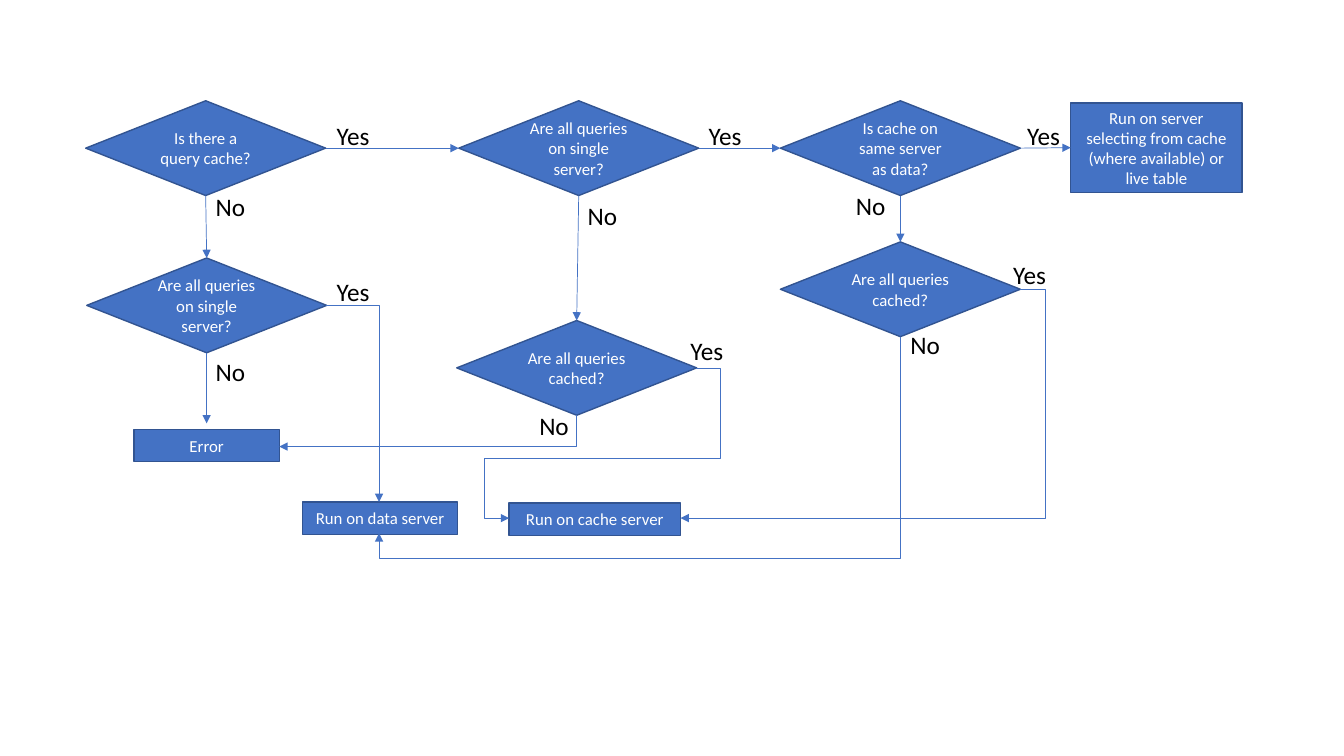
"""Build a flowchart slide that decides where a set of queries should run."""
from lxml import etree
from pptx import Presentation
from pptx import util as u
from pptx.dml import color
from pptx.enum import shapes, text
from pptx.oxml import ns

COLORS = {"fill": "4472C4", "edge": "325491", "node_text": "FFFFFF", "label": "000000"}
FONT = "Calibri"
TOP, LEFT, BOTTOM, RIGHT = range(4)


def rgb(name):
    return color.RGBColor.from_string(COLORS[name])


def style_font(paragraph, size, color_name):
    paragraph.font.name = FONT
    paragraph.font.size = u.Pt(size)
    paragraph.font.color.rgb = rgb(color_name)


def add_node(slide, kind, wording, left, top, width, height):
    node = slide.shapes.add_shape(kind, *map(u.Inches, (left, top, width, height)))
    node.shadow.inherit = False
    node.fill.solid()
    node.fill.fore_color.rgb = rgb("fill")
    node.line.color.rgb = rgb("edge")
    node.line.width = u.Pt(1)
    frame = node.text_frame
    frame.word_wrap = True
    frame.vertical_anchor = text.MSO_ANCHOR.MIDDLE
    frame.text = wording
    frame.paragraphs[0].alignment = text.PP_ALIGN.CENTER
    style_font(frame.paragraphs[0], 12, "node_text")
    return node


def add_decision(slide, question, left, top):
    return add_node(slide, shapes.MSO_SHAPE.DIAMOND, question, left, top, 2.38, 0.94)


def add_outcome(slide, action, left, top, width, height=0.32):
    return add_node(slide, shapes.MSO_SHAPE.RECTANGLE, action, left, top, width, height)


def add_answer(slide, answer, left, top):
    width = {"Yes": 0.84, "No": 0.51}[answer]
    label = slide.shapes.add_textbox(*map(u.Inches, (left, top, width, 0.4)))
    frame = label.text_frame
    frame.word_wrap = True
    frame.auto_size = text.MSO_AUTO_SIZE.SHAPE_TO_FIT_TEXT
    frame.text = answer
    style_font(frame.paragraphs[0], 18, "label")


def add_arrow(slide, kind, start, end):
    arrow = slide.shapes.add_connector(kind, *map(u.Inches, (*start, *end)))
    arrow.line.color.rgb = rgb("fill")
    arrow.line.width = u.Pt(0.5)
    etree.SubElement(arrow.line._get_or_add_ln(), ns.qn("a:tailEnd"), type="triangle")
    etree.SubElement(arrow._element.spPr, ns.qn("a:effectLst"))
    return arrow


def link(slide, source, source_side, target, target_side):
    arrow = add_arrow(slide, shapes.MSO_CONNECTOR.STRAIGHT, (0, 0), (1, 1))
    arrow.begin_connect(source, source_side)
    arrow.end_connect(target, target_side)


def add_elbow(slide, start, end, preset, bends=(), leaves_down=False):
    if leaves_down:
        center_x, center_y = (start[0] + end[0]) / 2, (start[1] + end[1]) / 2
        start, end = [(center_x + y - center_y, center_y - x + center_x)
                      for x, y in (start, end)]
    elbow = add_arrow(slide, shapes.MSO_CONNECTOR.ELBOW, start, end)
    properties = elbow._element.spPr
    if leaves_down:
        properties.find(ns.qn("a:xfrm")).set("rot", "5400000")
    geometry = properties.find(ns.qn("a:prstGeom"))
    geometry.set("prst", preset)
    guides = geometry.find(ns.qn("a:avLst"))
    for number, bend in enumerate(bends, 1):
        etree.SubElement(guides, ns.qn("a:gd"), name=f"adj{number}",
                         fmla=f"val {round(bend * 100000)}")


def main():
    deck = Presentation()
    deck.slide_width, deck.slide_height = u.Inches(13.33), u.Inches(7.5)
    slide = deck.slides.add_slide(deck.slide_layouts[6])

    has_cache = add_decision(slide, "Is there a query cache?", 0.85, 1)
    cached_single = add_decision(slide, "Are all queries on single server?", 4.55, 1)
    same_server = add_decision(slide, "Is cache on same server as data?", 7.74, 1)
    uncached_single = add_decision(slide, "Are all queries on single server?", 0.86, 2.56)
    spread_cached = add_decision(slide, "Are all queries cached?", 4.53, 3.18)
    apart_cached = add_decision(slide, "Are all queries cached?", 7.74, 2.4)

    add_outcome(slide, "Error", 1.33, 4.26, 1.44)
    add_outcome(slide, "Run on data server", 3, 4.98, 1.54)
    add_outcome(slide, "Run on cache server", 5.05, 4.99, 1.7)
    mixed_run = add_outcome(
        slide, "Run on server selecting from cache (where available) or live table",
        10.62, 1.02, 1.7, 0.89)

    for source, target in ((has_cache, cached_single), (cached_single, same_server),
                           (same_server, mixed_run)):
        link(slide, source, RIGHT, target, LEFT)
    for source, target in ((has_cache, uncached_single), (cached_single, spread_cached),
                           (same_server, apart_cached)):
        link(slide, source, BOTTOM, target, TOP)
    add_arrow(slide, shapes.MSO_CONNECTOR.STRAIGHT, (2.05, 3.5), (2.05, 4.2))

    add_elbow(slide, (3.23, 3.03), (3.76, 4.98), "bentConnector2")
    add_elbow(slide, (5.72, 4.12), (2.77, 4.43), "bentConnector2", leaves_down=True)
    add_elbow(slide, (6.9, 3.65), (5.05, 5.14), "bentConnector5", (-0.135, 0.604, 1.135))
    add_elbow(slide, (8.93, 3.34), (3.76, 5.29), "bentConnector3", (1.128,), leaves_down=True)
    add_elbow(slide, (10.12, 2.87), (6.75, 5.14), "bentConnector3", (-0.074,))

    for left, top in ((3.24, 1.14), (6.93, 1.14), (10.09, 1.14),
                      (3.24, 2.69), (6.75, 3.28), (9.95, 2.52)):
        add_answer(slide, "Yes", left, top)
    for left, top in ((2.04, 1.85), (5.73, 1.94), (8.39, 1.84),
                      (2.04, 3.49), (5.25, 4.02), (8.93, 3.22)):
        add_answer(slide, "No", left, top)

    deck.save("out.pptx")


if __name__ == "__main__":
    main()
